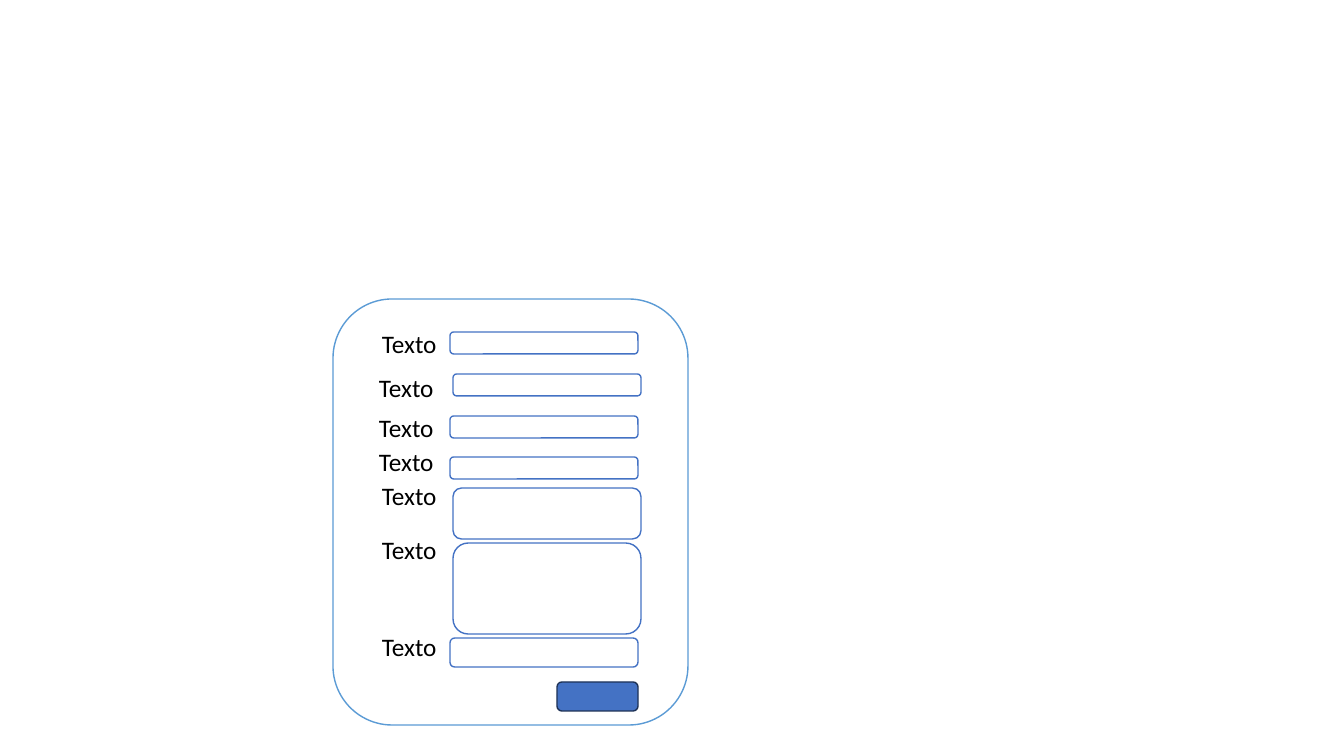
from pptx import Presentation
from pptx.dml.color import RGBColor
from pptx.enum.shapes import MSO_SHAPE
from pptx.enum.text import MSO_AUTO_SIZE
from pptx.util import Pt

ROUND_RECT = MSO_SHAPE.ROUNDED_RECTANGLE
GROW = MSO_AUTO_SIZE.SHAPE_TO_FIT_TEXT
PX = 914400 / 100.8  # EMU per px

WHITE = RGBColor(0xFF, 0xFF, 0xFF)
BLACK = RGBColor(0x00, 0x00, 0x00)
LIGHT_BLUE = RGBColor(0x5B, 0x9B, 0xD5)
BLUE = RGBColor(0x44, 0x72, 0xC4)
NAVY = RGBColor(0x1E, 0x32, 0x56)

prs = Presentation()
prs.slide_width, prs.slide_height = round(1344 * PX), round(756 * PX)
s = prs.slides.add_slide(prs.slide_layouts[6])


def add_box(x, y, w, h, fill=WHITE, line=BLUE):
    sp = s.shapes.add_shape(ROUND_RECT, *(round(v * PX) for v in (x, y, w, h)))
    sp.shadow.inherit = False
    sp.fill.solid()
    sp.fill.fore_color.rgb = fill
    sp.line.color.rgb = line
    sp.line.width = Pt(1)


def add_text(text, x, y, w, h, size=18, color=BLACK, font="Calibri"):
    tb = s.shapes.add_textbox(*(round(v * PX) for v in (x, y, w, h)))
    tf = tb.text_frame
    tf.word_wrap = True
    tf.auto_size = GROW
    r = tf.paragraphs[0].add_run()
    r.text = text
    r.font.size = Pt(size)
    r.font.name = font
    r.font.color.rgb = color


# Form panel
add_box(333, 299, 355, 426, line=LIGHT_BLUE)

# Form rows: label x, label y, field x, field y, field height
rows = [
    (372, 323, 450, 332, 22),
    (369, 367, 453, 374, 22),
    (369, 407, 450, 416, 22),
    (369, 441, 450, 457, 22),
    (372, 475, 453, 488, 51),
    (372, 529, 453, 543, 91),
    (372, 626, 450, 638, 29),
]
for label_x, label_y, field_x, field_y, field_h in rows:
    add_box(field_x, field_y, 188, field_h)
    add_text("Texto", label_x, label_y, 81, 40)

# Submit button
add_box(557, 682, 81, 29, fill=BLUE, line=NAVY)

prs.save("out.pptx")
